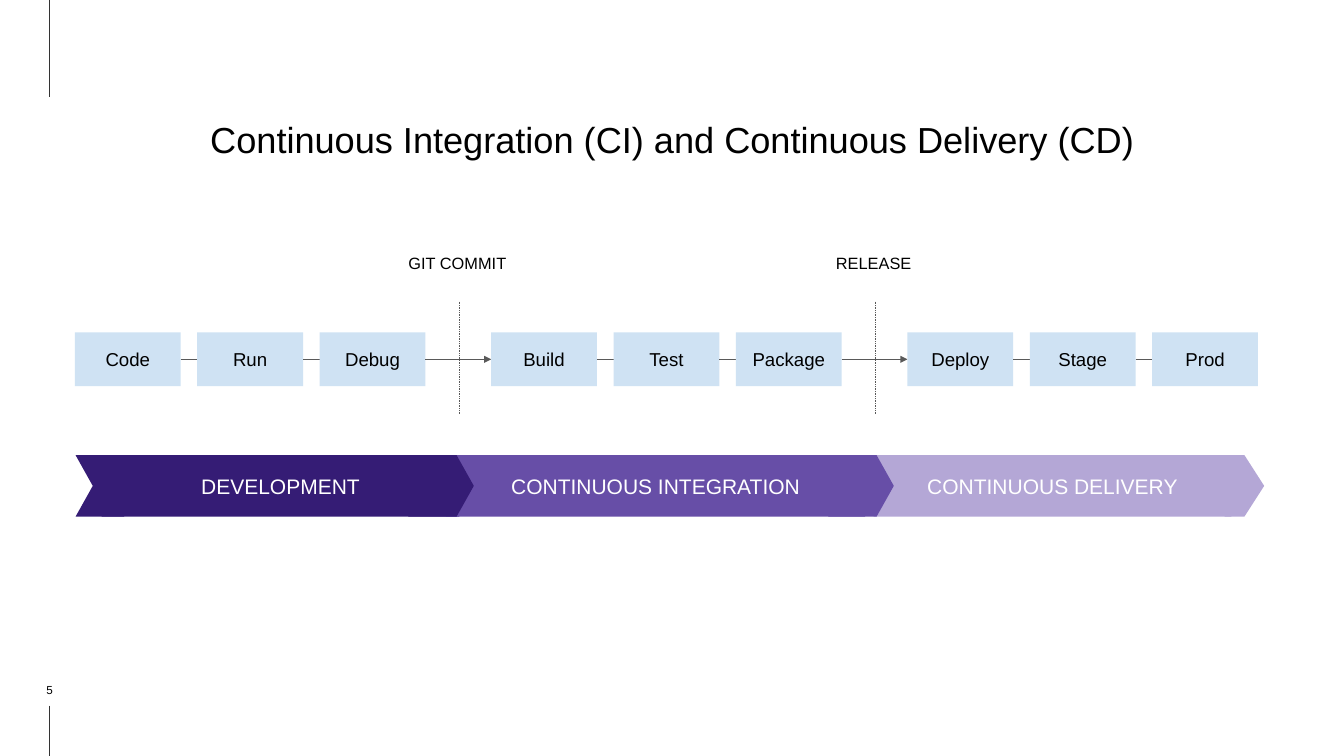
import pptx
import pptx.dml.color
import pptx.enum.dml
import pptx.enum.shapes
import pptx.enum.text
import pptx.oxml
import pptx.oxml.ns
import pptx.util

Pt = pptx.util.Pt
SHAPE = pptx.enum.shapes.MSO_SHAPE
ANCHOR = pptx.enum.text.MSO_ANCHOR

STAGES = [
    ["Code", "Run", "Debug"],
    ["Build", "Test", "Package"],
    ["Deploy", "Stage", "Prod"],
]
LEFT, TOP, WIDTH, HEIGHT = 64.2, 285, 90.7, 46
STEP, GROUP_STEP = 104.9, 356.8
BAND_TOP, BAND_HEIGHT = 390.2, 52.6


def color(value):
    """Turn a hex string into a colour."""
    return pptx.dml.color.RGBColor.from_string(value)


def write(sp, text, size, fill="000000", anchor=ANCHOR.TOP, inset=7.2):
    """Put one centred line of text in a shape."""
    tf = sp.text_frame
    tf.word_wrap = True
    tf.auto_size = pptx.enum.text.MSO_AUTO_SIZE.NONE
    tf.vertical_anchor = anchor
    tf.margin_left = tf.margin_right = Pt(inset)
    tf.margin_top = tf.margin_bottom = Pt(inset)
    p = tf.paragraphs[0]
    p.text = text
    p.alignment = pptx.enum.text.PP_ALIGN.CENTER
    p.font.name = "Arial"
    p.font.size = Pt(size)
    p.font.color.rgb = color(fill)
    return p


def add_title(s, text):
    """Fill and place the title placeholder."""
    sp = s.shapes.title
    sp.left, sp.top, sp.width, sp.height = Pt(165.6), Pt(89.3), Pt(820.8), Pt(91.4)
    write(sp, text, 31, inset=0).line_spacing = 1.3


def add_label(s, x, y, w, h, text, size, **options):
    """Add a text box."""
    sp = s.shapes.add_textbox(Pt(x), Pt(y), Pt(w), Pt(h))
    write(sp, text, size, **options)


def add_block(s, kind, x, y, w, h, fill):
    """Add a flat shape without outline."""
    sp = s.shapes.add_shape(kind, Pt(x), Pt(y), Pt(w), Pt(h))
    sp.shadow.inherit = False
    sp.fill.solid()
    sp.fill.fore_color.rgb = color(fill)
    sp.line.fill.background()
    return sp


def add_line(s, x1, y1, x2, y2, stroke="595959", dotted=False, arrow=False):
    """Add a thin straight line, dotted or with an arrowhead if asked."""
    sp = s.shapes.add_connector(
        pptx.enum.shapes.MSO_CONNECTOR.STRAIGHT, Pt(x1), Pt(y1), Pt(x2), Pt(y2))
    sp.line.width = Pt(0.75)
    sp.line.color.rgb = color(stroke)
    if dotted:
        sp.line.dash_style = pptx.enum.dml.MSO_LINE.ROUND_DOT
    if arrow:
        ns = pptx.oxml.ns.nsdecls("a")
        sp.line._get_or_add_ln().append(
            pptx.oxml.parse_xml(f'<a:tailEnd {ns} type="triangle"/>'))
    sp._element.spPr.append(
        pptx.oxml.parse_xml(f'<a:effectLst {pptx.oxml.ns.nsdecls("a")}/>'))


def add_pipeline(s):
    """Add the stage boxes and the lines that join them."""
    middle = TOP + HEIGHT / 2
    for group, names in enumerate(STAGES):
        for column, name in enumerate(names):
            x = LEFT + group * GROUP_STEP + column * STEP
            sp = add_block(s, SHAPE.RECTANGLE, x, TOP, WIDTH, HEIGHT, "CFE2F3")
            write(sp, name, 16, anchor=ANCHOR.MIDDLE)
            if column < len(names) - 1:
                add_line(s, x + WIDTH, middle, x + STEP, middle)
            elif group < len(STAGES) - 1:
                next_x = LEFT + (group + 1) * GROUP_STEP
                add_line(s, x + WIDTH, middle, next_x, middle, arrow=True)


def add_gates(s):
    """Add the dotted dividers with their captions."""
    for group, name in enumerate(["GIT COMMIT", "RELEASE"]):
        shift = group * GROUP_STEP
        add_line(s, 393.8 + shift, 258.5, 393.8 + shift, 355.7, dotted=True)
        add_label(s, 338.4 + shift, 210.2, 107.3, 33.8, name, 14)


def add_phases(s):
    """Add the band of phases with its chevron joints."""
    add_block(s, SHAPE.PENTAGON, 1049.8, BAND_TOP, 33.8, BAND_HEIGHT, "B4A7D6")
    for name, x, w, fill in [
        ("DEVELOPMENT", 87.1, 306.7, "351C75"),
        ("CONTINUOUS INTEGRATION", 382.3, 359.3, "674EA7"),
        ("CONTINUOUS DELIVERY", 748.8, 306.7, "B4A7D6"),
    ]:
        sp = add_block(s, SHAPE.RECTANGLE, x, BAND_TOP, w, BAND_HEIGHT, fill)
        write(sp, name, 18, "FFFFFF", ANCHOR.MIDDLE)
    for x, fill in [(64.8, "351C75"), (349.9, "351C75"), (709.9, "674EA7")]:
        sp = add_block(s, SHAPE.CHEVRON, x, BAND_TOP, 56.2, BAND_HEIGHT, fill)
        sp.adjustments[0] = 0.28


def main():
    """Build the slide and save it."""
    prs = pptx.Presentation()
    prs.slide_width, prs.slide_height = Pt(1152), Pt(648)
    s = prs.slides.add_slide(prs.slide_layouts[5])
    for y1, y2 in [(0, 83.5), (604.8, 648)]:
        add_line(s, 42.5, y1, 42.5, y2, "333333")
    add_title(s, "Continuous Integration (CI) and Continuous Delivery (CD)")
    add_label(s, 7.9, 583.2, 69.1, 13.7, "5", 10, anchor=ANCHOR.BOTTOM, inset=0)
    add_pipeline(s)
    add_gates(s)
    add_phases(s)
    prs.save("out.pptx")


if __name__ == "__main__":
    main()
